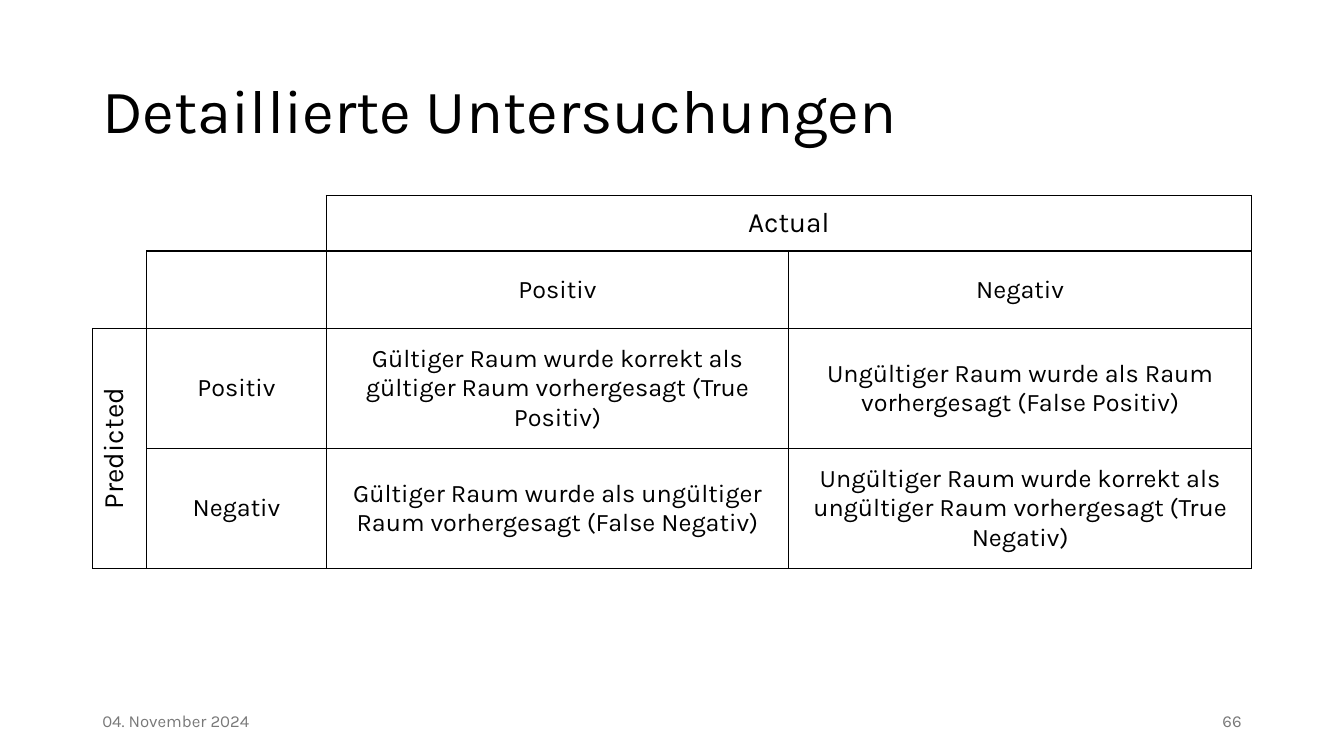
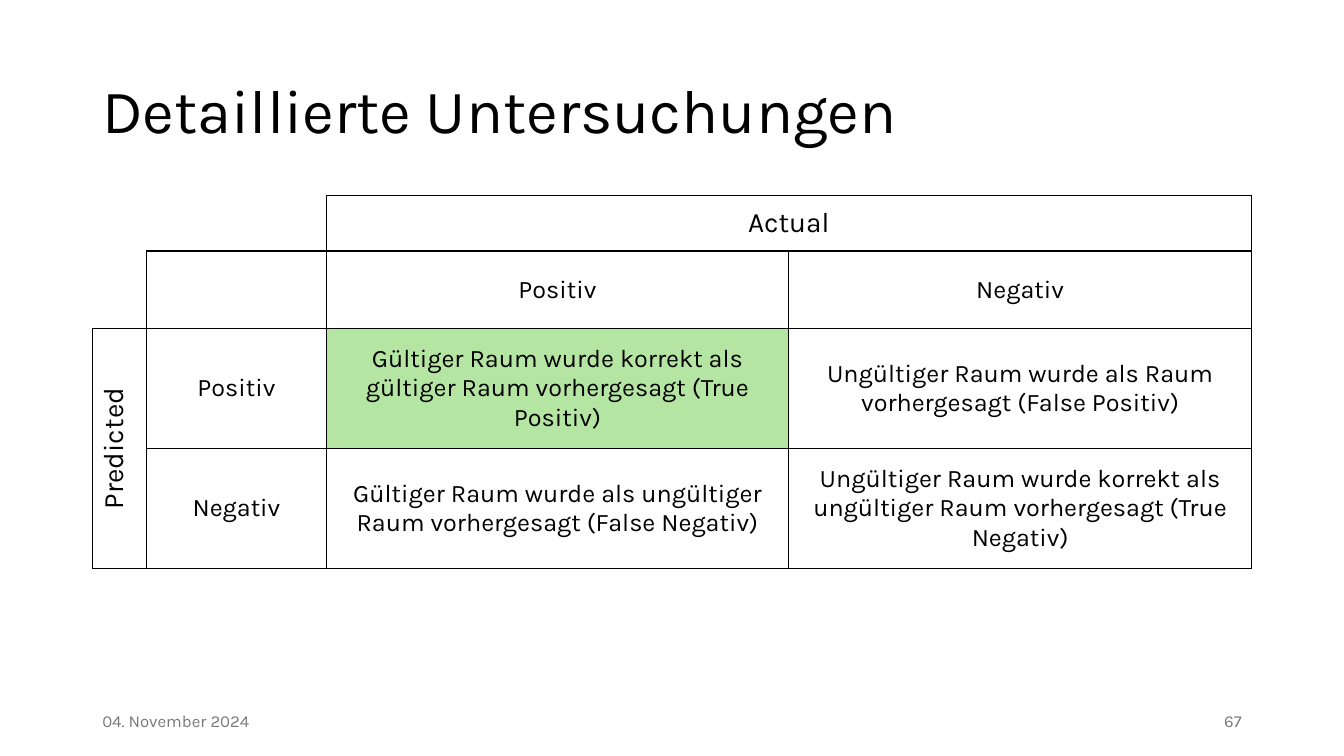
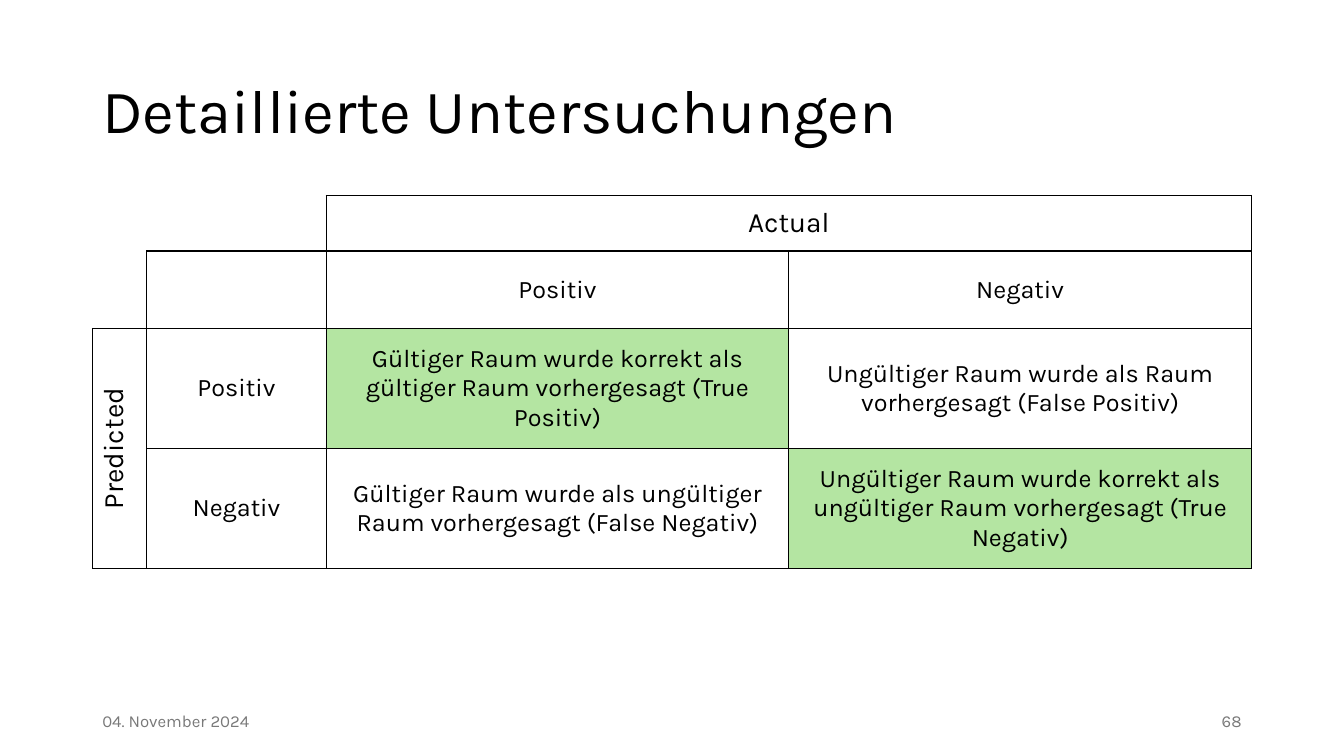
from pptx import Presentation
from pptx.dml.color import RGBColor
from pptx.enum.text import MSO_ANCHOR as Anchor, PP_ALIGN as Align
from pptx.oxml.ns import qn
from pptx.util import Inches, Pt
from lxml.etree import SubElement

COLUMNS, ROWS = 80, 45
MARGIN, CONTENT = 5.5, 69
BLACK, GREY, GREEN = "000000", "797979", "B4E5A2"
TITLE = "Detaillierte Untersuchungen"
DATE = "04. November 2024"
FIRST_PAGE = 66
TRUE_POSITIVE, TRUE_NEGATIVE = (2, 2), (3, 3)
MATRIX = [
    ["", "", "Actual", ""],
    ["", "", "Positiv", "Negativ"],
    ["Predicted", "Positiv",
     "Gültiger Raum wurde korrekt als gültiger Raum vorhergesagt (True Positiv)",
     "Ungültiger Raum wurde als Raum vorhergesagt (False Positiv)"],
    ["", "Negativ",
     "Gültiger Raum wurde als ungültiger Raum vorhergesagt (False Negativ)",
     "Ungültiger Raum wurde korrekt als ungültiger Raum vorhergesagt (True Negativ)"],
]
AXIS_LABELS = ("Actual", "Predicted")
MATRIX_COLUMNS = (3.24, 10.68, 27.54, 27.54)
MATRIX_ROWS = (3.3, 4.62, 7.14, 7.14)


def color(value):
    return RGBColor.from_string(value)


class Deck:
    """Hold the shared style and the current slide of the deck."""

    font = "Karla"

    def __init__(self):
        self.prs = Presentation()
        self.prs.slide_width = self.grid(COLUMNS)
        self.prs.slide_height = self.grid(ROWS)
        self.slide = None

    def grid(self, units):
        return Inches(units / 6)

    def new_slide(self, page):
        self.slide = self.prs.slides.add_slide(self.prs.slide_layouts[6])
        self.text(TITLE, MARGIN, 2.4, CONTENT, 8.7, 44, BLACK, spacing=0.9)
        self.text(DATE, MARGIN, 41.7, 18, 2.4, 12, GREY)
        self.text(str(page), MARGIN + CONTENT - 18, 41.7, 18, 2.4, 12, GREY, Align.RIGHT)

    def run(self, paragraph, text, size, hue, align):
        paragraph.alignment = align
        run = paragraph.add_run()
        run.text = text
        run.font.name = self.font
        run.font.size = Pt(size)
        run.font.color.rgb = color(hue)

    def text(self, text, left, top, width, height, size, hue, align=Align.LEFT, spacing=1.0):
        box = self.slide.shapes.add_textbox(*map(self.grid, (left, top, width, height)))
        frame = box.text_frame
        frame.word_wrap = True
        frame.vertical_anchor = Anchor.MIDDLE
        paragraph = frame.paragraphs[0]
        paragraph.line_spacing = spacing
        self.run(paragraph, text, size, hue, align)

    def borders(self, cell, sides):
        properties = cell._tc.get_or_add_tcPr()
        for side in "LRTB":
            line = SubElement(properties, qn(f"a:ln{side}"), w=str(Pt(1)))
            if side in sides:
                fill = SubElement(line, qn("a:solidFill"))
                SubElement(fill, qn("a:srgbClr"), val=BLACK)
            else:
                SubElement(line, qn("a:noFill"))

    def confusion_matrix(self, highlights):
        frame = self.slide.shapes.add_table(
            len(MATRIX_ROWS), len(MATRIX_COLUMNS), self.grid(MARGIN), self.grid(11.64),
            self.grid(sum(MATRIX_COLUMNS)), self.grid(sum(MATRIX_ROWS)))
        matrix = frame.table
        matrix.first_row = matrix.horz_banding = False
        for column, width in zip(matrix.columns, MATRIX_COLUMNS):
            column.width = self.grid(width)
        for row, height in zip(matrix.rows, MATRIX_ROWS):
            row.height = self.grid(height)
        for r, labels in enumerate(MATRIX):
            for c, label in enumerate(labels):
                self.cell(matrix.cell(r, c), label, r + c, (r, c) in highlights)
        matrix.cell(0, 2).merge(matrix.cell(0, 3))
        matrix.cell(2, 0).merge(matrix.cell(3, 0))
        matrix.cell(2, 0)._tc.get_or_add_tcPr().set("vert", "vert270")

    def cell(self, cell, label, corner_distance, highlighted):
        self.borders(cell, {0: "", 1: "RB"}.get(corner_distance, "LRTB"))
        if highlighted:
            cell.fill.solid()
            cell.fill.fore_color.rgb = color(GREEN)
        else:
            cell.fill.background()
        cell.vertical_anchor = Anchor.MIDDLE
        if label:
            size = 20 if label in AXIS_LABELS else 18
            self.run(cell.text_frame.paragraphs[0], label, size, BLACK, Align.CENTER)


def main():
    deck = Deck()
    steps = [(), (TRUE_POSITIVE,), (TRUE_POSITIVE, TRUE_NEGATIVE)]
    for page, highlights in enumerate(steps, FIRST_PAGE):
        deck.new_slide(page)
        deck.confusion_matrix(highlights)
    deck.prs.save("out.pptx")


if __name__ == "__main__":
    main()
